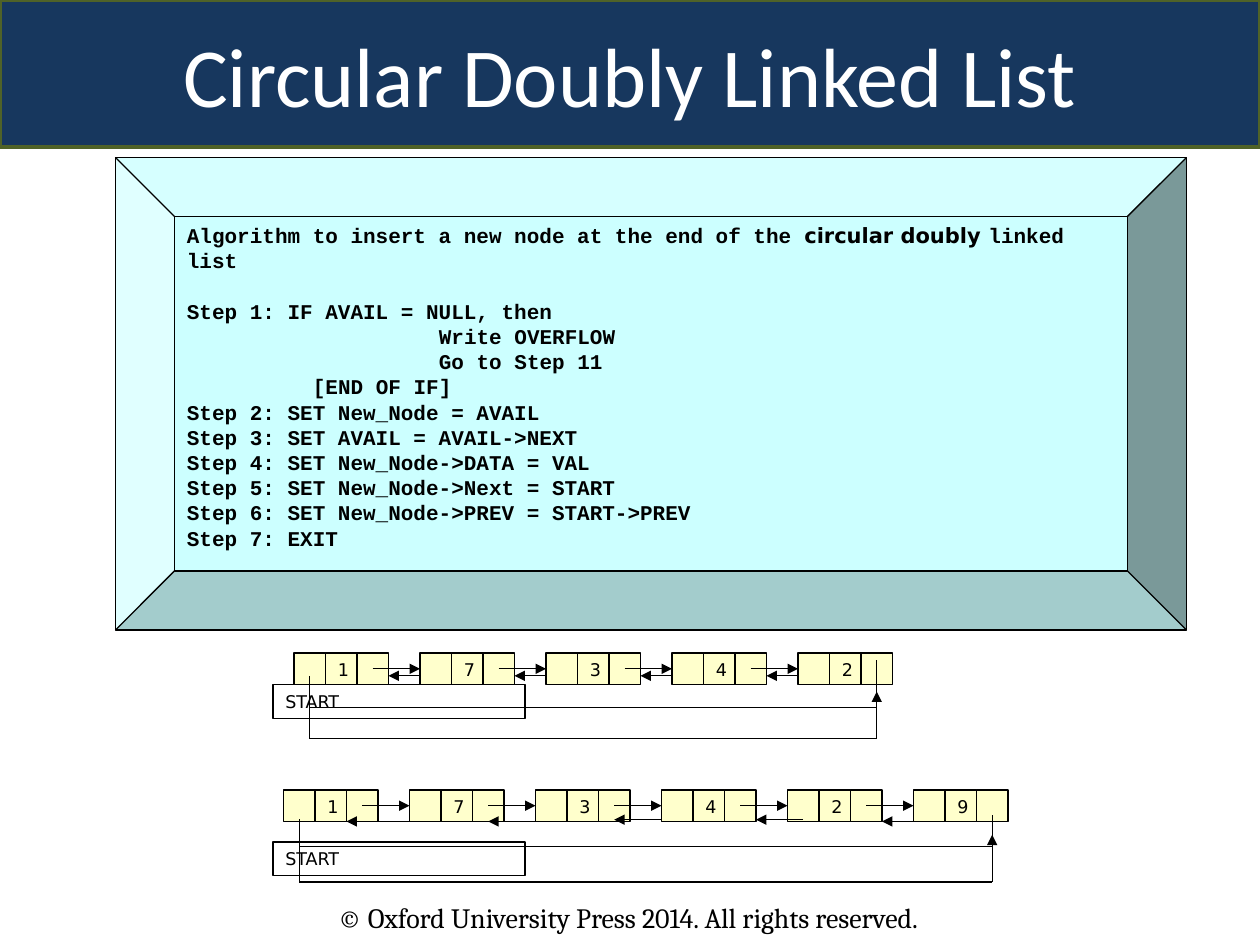
from lxml.etree import SubElement
from pptx import Presentation
from pptx.dml.color import RGBColor
from pptx.enum.shapes import MSO_CONNECTOR, MSO_SHAPE
from pptx.enum.text import MSO_ANCHOR, PP_ALIGN
from pptx.oxml.ns import qn
from pptx.util import Pt

BLACK = RGBColor(0x00, 0x00, 0x00)
WHITE = RGBColor(0xFF, 0xFF, 0xFF)
NAVY = RGBColor(0x17, 0x37, 0x5E)
OLIVE = RGBColor(0x4F, 0x62, 0x28)
CYAN = RGBColor(0xCC, 0xFF, 0xFF)
CREAM = RGBColor(0xFF, 0xFF, 0xCC)

CELL = 18
NODE_PITCH = 4 * CELL
LINE_PITCH = 14.4
TAB = 72

# Each step: text, indent level
STEPS = [
    ("Step 1: IF AVAIL = NULL, then", 0),
    ("Write OVERFLOW", 2),
    ("Go to Step 11", 2),
    ("[END OF IF]", 1),
    ("Step 2: SET New_Node = AVAIL", 0),
    ("Step 3: SET AVAIL = AVAIL->NEXT", 0),
    ("Step 4: SET New_Node->DATA = VAL", 0),
    ("Step 5: SET New_Node->Next = START", 0),
    ("Step 6: SET New_Node->PREV = START->PREV", 0),
    ("Step 7: EXIT", 0),
]


class SlideBuilder:
    def __init__(self, slide):
        self.slide = slide
        self.shapes = slide.shapes

    def start_group(self):
        self.shapes = self.slide.shapes.add_group_shape().shapes

    def end_group(self):
        self.shapes = self.slide.shapes

    def style(self, paragraph, font_name, size, color=BLACK, bold=False):
        font = paragraph.font
        font.name, font.size, font.bold = font_name, Pt(size), bold
        font.color.rgb = color

    def label(self, shape, text, font_name, size, color=BLACK,
              anchor=MSO_ANCHOR.TOP, align=PP_ALIGN.LEFT):
        frame = shape.text_frame
        frame.word_wrap = True
        frame.vertical_anchor = anchor
        paragraph = frame.paragraphs[0]
        paragraph.text = text
        paragraph.alignment = align
        self.style(paragraph, font_name, size, color)

    def box(self, kind, left, top, width, height, fill=None,
            line=BLACK, weight=0.75, adjustment=None):
        shape = self.shapes.add_shape(
            kind, Pt(left), Pt(top), Pt(width), Pt(height))
        shape.shadow.inherit = False
        if adjustment is not None:
            shape.adjustments[0] = adjustment
        if fill is None:
            shape.fill.background()
        else:
            shape.fill.solid()
            shape.fill.fore_color.rgb = fill
        shape.line.color.rgb = line
        shape.line.width = Pt(weight)
        return shape

    def text_box(self, left, top, width, height, text, font_name, size):
        shape = self.shapes.add_textbox(
            Pt(left), Pt(top), Pt(width), Pt(height))
        self.label(shape, text, font_name, size)

    def line(self, start, end, arrow=False):
        connector = self.shapes.add_connector(
            MSO_CONNECTOR.STRAIGHT, *(Pt(value) for value in (*start, *end)))
        connector.line.color.rgb = BLACK
        connector.line.width = Pt(0.75)
        properties = connector._element.spPr
        if arrow:
            SubElement(properties.find(qn("a:ln")), qn("a:tailEnd"),
                       type="triangle")
        SubElement(properties, qn("a:effectLst"))

    def algorithm(self, shape, heading, steps):
        frame = shape.text_frame
        frame.word_wrap = True
        frame.vertical_anchor = MSO_ANCHOR.TOP
        paragraph = frame.paragraphs[0]
        for text, font_name in heading:
            run = paragraph.add_run()
            run.text = text
            run.font.name = font_name
        for text, level in steps:
            paragraph = frame.add_paragraph()
            paragraph.text = text
            paragraph._p.get_or_add_pPr().set("marL", str(int(Pt(level * TAB))))
        for paragraph in frame.paragraphs:
            paragraph.alignment = PP_ALIGN.LEFT
            paragraph.line_spacing = Pt(LINE_PITCH)
            self.style(paragraph, "Courier New", 12, bold=True)
        frame.paragraphs[1].space_before = Pt(LINE_PITCH)

    def linked_list(self, left, top, values, back_links, inner, outer, inner_rise):
        """Offsets in back_links, inner and outer count from the row's corner."""
        self.start_group()
        # Nodes with their previous, data and next cells
        for index, value in enumerate(values):
            node_left = left + index * NODE_PITCH
            cells = [self.box(MSO_SHAPE.RECTANGLE, node_left + part * CELL, top,
                              CELL, CELL, CREAM) for part in range(3)]
            self.label(cells[1], value, "DejaVu Sans", 10)
        # Forward links
        for index in range(len(values) - 1):
            node_left = left + index * NODE_PITCH
            self.line((node_left + 2.5 * CELL, top + CELL / 2),
                      (node_left + NODE_PITCH, top + CELL / 2), arrow=True)
        # Backward links
        for start, end, drop in back_links:
            self.line((left + start, top + drop), (left + end, top + drop),
                      arrow=True)
        # Circular links between the first and last node
        first = left + CELL / 2
        last = left + (len(values) - 1) * NODE_PITCH + 2.5 * CELL
        self.line((last, top + inner - inner_rise), (last, top + inner))
        self.line((last, top + inner), (first, top + inner))
        self.line((first, top + outer - 36), (first, top + outer))
        self.line((first, top + outer), (last, top + outer))
        self.line((last, top + outer), (last, top + outer - 27), arrow=True)
        self.end_group()

    def start_pointer(self, top):
        pointer = self.box(MSO_SHAPE.RECTANGLE, 156, top, 144, 19.2)
        self.label(pointer, "START", "DejaVu Sans", 10,
                   anchor=MSO_ANCHOR.MIDDLE)


def main():
    presentation = Presentation()
    presentation.slide_width, presentation.slide_height = Pt(720), Pt(540)
    builder = SlideBuilder(
        presentation.slides.add_slide(presentation.slide_layouts[6]))

    # Footer and title
    builder.text_box(186, 511.2, 426, 26.6,
                     "© Oxford University Press 2014. All rights reserved.",
                     "Cambria", 16)
    title = builder.box(MSO_SHAPE.ROUNDED_RECTANGLE, 0, 0, 720, 84,
                        NAVY, OLIVE, 2, adjustment=0)
    builder.label(title, "Circular Doubly Linked List", "Calibri", 48, WHITE,
                  MSO_ANCHOR.MIDDLE, PP_ALIGN.CENTER)

    # Algorithm panel
    panel = builder.box(MSO_SHAPE.BEVEL, 66, 90, 612, 270, CYAN,
                        adjustment=0.125)
    builder.algorithm(panel, [
        ("Algorithm to insert a new node at the end of the ", "Courier New"),
        ("circular doubly ", "DejaVu Sans"),
        ("linked list", "Courier New"),
    ], STEPS)

    # List before the insertion
    before_links = [(NODE_PITCH * index, NODE_PITCH * index - CELL, 13)
                    for index in range(1, 5)]
    builder.linked_list(168, 373.2, "17342", before_links,
                        inner=31, outer=49, inner_rise=27)

    # List after the insertion
    after_links = [(81, 36, 18), (144, 117, 18), (216, 189, 17),
                   (297, 270, 17), (360, 342, 18)]
    builder.linked_list(162, 451.4, "173429", after_links,
                        inner=32.4, outer=52.6, inner_rise=18)

    # START pointers
    for top in (481.2, 391.2):
        builder.start_pointer(top)

    presentation.save("out.pptx")


if __name__ == "__main__":
    main()
